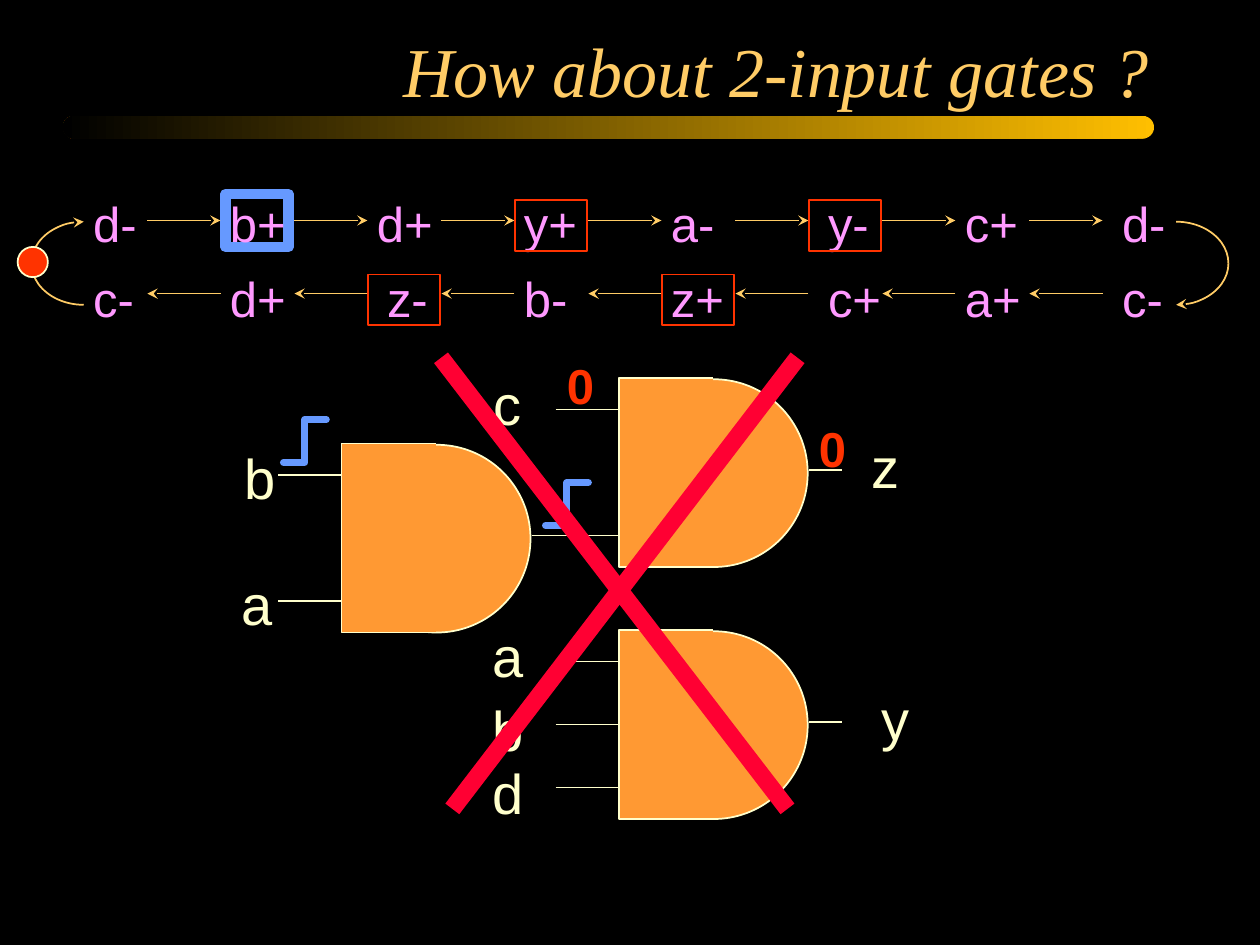
from dataclasses import dataclass

from lxml import etree
from pptx import Presentation
from pptx.dml.color import RGBColor
from pptx.enum.shapes import MSO_CONNECTOR, MSO_SHAPE
from pptx.enum.text import MSO_ANCHOR, MSO_AUTO_SIZE, PP_ALIGN
from pptx.oxml.ns import qn
from pptx.util import Inches, Pt

STRAIGHT = MSO_CONNECTOR.STRAIGHT
RECTANGLE = MSO_SHAPE.RECTANGLE
ROUNDED = MSO_SHAPE.ROUNDED_RECTANGLE
OVAL = MSO_SHAPE.OVAL
ARC = MSO_SHAPE.ARC
TOP = MSO_ANCHOR.TOP
NO_AUTOFIT = MSO_AUTO_SIZE.NONE
FIT_SHAPE = MSO_AUTO_SIZE.SHAPE_TO_FIT_TEXT
RIGHT = PP_ALIGN.RIGHT

BLACK = RGBColor(0x00, 0x00, 0x00)
AMBER = RGBColor(0xFF, 0xBF, 0x00)
GOLD = RGBColor(0xFF, 0xCC, 0x66)
CREAM = RGBColor(0xFF, 0xFF, 0xCC)
ORANGE = RGBColor(0xFF, 0x99, 0x33)
BLUE = RGBColor(0x66, 0x99, 0xFF)
PINK = RGBColor(0xFF, 0x99, 0xFF)
RED = RGBColor(0xFF, 0x33, 0x00)
CROSS_RED = RGBColor(0xFF, 0x00, 0x33)

PITCH = 7 / 6
GATE_SIZE = 1.5


@dataclass(frozen=True)
class Gate:
    left: float
    top: float
    inputs: tuple[float, ...]


@dataclass(frozen=True)
class Label:
    text: str
    left: float
    top: float
    width: float
    size: int = 32
    color: RGBColor = CREAM
    bold: bool = False


@dataclass(frozen=True)
class EventRow:
    events: tuple[str, ...]
    nudged: tuple[int, ...]
    boxed: tuple[int, ...]
    top: float
    arrow_y: float
    forward: bool


@dataclass(frozen=True)
class Turn:
    left: float
    start: int
    end: int
    arrow: bool


UPPER_GATE = Gate(4.91, 3, (0.25, 1.25))
LOWER_GATE = Gate(4.91, 5, (0.25, 0.75, 1.25))
LEFT_GATE = Gate(2.71, 3.52, (0.25, 1.25))

LABELS = (
    Label("a", 1.82, 4.47, 0.45),
    Label("b", 1.84, 3.47, 0.45),
    Label("c", 3.82, 2.88, 0.42),
    Label("z", 6.82, 3.38, 0.42),
    Label("a", 3.81, 4.88, 0.45),
    Label("b", 3.81, 5.47, 0.45),
    Label("d", 3.81, 5.97, 0.45),
    Label("y", 6.9, 5.38, 0.42),
)
ZEROS = (
    Label("0", 4.4, 2.77, 0.42, 28, RED, True),
    Label("0", 6.4, 3.27, 0.42, 28, RED, True),
)
ROWS = (
    EventRow(("d-", "b+", "d+", "y+", "a-", "y-", "c+", "d-"),
             (0, 5, 7), (3, 5), 1.49, 1.75, True),
    EventRow(("c-", "d+", "z-", "b-", "z+", "c+", "a+", "c-"),
             (0, 2, 5, 7), (2, 4), 2.08, 2.33, False),
)
TURNS = (
    Turn(0.25, 180, 270, True),
    Turn(0.25, 90, 180, False),
    Turn(8.92, 270, 0, False),
    Turn(8.92, 0, 90, True),
)


def add_arrowhead(item) -> None:
    outline = item.element.spPr.find(qn("a:ln"))
    etree.SubElement(outline, qn("a:tailEnd"), type="stealth")


def style(shape, fill: RGBColor | None, line: RGBColor, weight: float = 1) -> None:
    shape.shadow.inherit = False
    if fill is None:
        shape.fill.background()
    else:
        shape.fill.solid()
        shape.fill.fore_color.rgb = fill
    shape.line.color.rgb = line
    shape.line.width = Pt(weight)


def add_preset(page, kind, left: float, top: float, width: float, height: float):
    return page.shapes.add_shape(
        kind, Inches(left), Inches(top), Inches(width), Inches(height))


def add_line(page, start: tuple[float, float], end: tuple[float, float],
             color: RGBColor = CREAM, weight: float = 1):
    line = page.shapes.add_connector(
        STRAIGHT, *(Inches(value) for value in start + end))
    line.line.color.rgb = color
    line.line.width = Pt(weight)
    etree.SubElement(line.element.spPr, qn("a:effectLst"))
    return line


def add_outline(page, points: list[tuple[float, float]]):
    start, *rest = [(Inches(x), Inches(y)) for x, y in points]
    builder = page.shapes.build_freeform(*start)
    builder.add_line_segments(rest, close=False)
    return builder.convert_to_shape()


def add_label(page, label: Label) -> None:
    box = page.shapes.add_textbox(
        Inches(label.left), Inches(label.top), Inches(label.width),
        Inches(0.63 if label.size == 32 else 0.57))
    frame = box.text_frame
    frame.word_wrap = False
    frame.auto_size = FIT_SHAPE
    frame.text = label.text
    font = frame.paragraphs[0].runs[0].font
    font.name = "Arial"
    font.size = Pt(label.size)
    font.bold = label.bold
    font.color.rgb = label.color


def add_gate(page, gate: Gate) -> None:
    left, top = gate.left, gate.top
    middle, bottom = left + GATE_SIZE / 2, top + GATE_SIZE
    dome = add_preset(page, OVAL, left + 0.01, top + 0.01, 1.49, 1.49)
    body = add_outline(
        page, [(middle, top), (left, top), (left, bottom), (middle, bottom)])
    for part in (dome, body):
        style(part, ORANGE, CREAM)
    add_line(page, (left + 1.51, top + 0.73), (left + 1.77, top + 0.73))
    for offset in gate.inputs:
        add_line(page, (left - 0.5, top + offset), (left, top + offset))


def add_rising_edge(page, left: float, top: float) -> None:
    middle, right, bottom = left + 0.17, left + 0.34, top + 0.34
    edge = add_outline(
        page, [(left, bottom), (middle, bottom), (middle, top), (right, top)])
    style(edge, None, BLUE, 4)
    edge.element.spPr.find(qn("a:ln")).set("cap", "rnd")


def add_event_row(page, row: EventRow) -> None:
    for column, event in enumerate(row.events):
        left = 0.56 + column * PITCH + (0.08 if column in row.nudged else 0)
        width = (0.65 if event[0] in "abd" else 0.62) - (0.1 if event[1] == "-" else 0)
        add_label(page, Label(event, left, row.top, width, 28, PINK))
    for gap in range(len(row.events) - 1):
        left = 1.17 + gap * PITCH
        ends = [(left, row.arrow_y), (left + 0.58, row.arrow_y)]
        start, end = ends if row.forward else reversed(ends)
        add_arrowhead(add_line(page, start, end, GOLD))
    for column in row.boxed:
        frame = add_preset(
            page, RECTANGLE, 0.59 + column * PITCH, row.top + 0.1, 0.57, 0.4)
        style(frame, None, RED)


def add_turn(page, turn: Turn) -> None:
    arc = add_preset(page, ARC, turn.left, 1.76, 0.83, 0.66)
    arc.adjustments[0] = turn.start * 0.6
    arc.adjustments[1] = turn.end * 0.6
    style(arc, None, GOLD)
    if turn.arrow:
        add_arrowhead(arc)


def add_bar(page) -> None:
    bar = add_preset(page, ROUNDED, 0.5, 0.92, 8.66, 0.18)
    bar.adjustments[0] = 0.5
    bar.shadow.inherit = False
    bar.line.fill.background()
    bar.fill.gradient()
    bar.fill.gradient_angle = 180
    for stop, color in zip(bar.fill.gradient_stops, (AMBER, BLACK)):
        stop.color.rgb = color


def set_title(page) -> None:
    title = page.shapes.title
    title.left, title.top = Inches(3.1), Inches(0.17)
    title.width, title.height = Inches(6.12), Inches(0.77)
    frame = title.text_frame
    frame.text = "How about 2-input gates ?"
    frame.word_wrap = False
    frame.auto_size = NO_AUTOFIT
    frame.vertical_anchor = TOP
    paragraph = frame.paragraphs[0]
    paragraph.alignment = RIGHT
    font = paragraph.runs[0].font
    font.name = "Times New Roman"
    font.size = Pt(40)
    font.italic = True
    font.color.rgb = GOLD


def main() -> None:
    deck = Presentation()
    deck.slide_width, deck.slide_height = Inches(10), Inches(7.5)
    page = deck.slides.add_slide(deck.slide_layouts[5])
    page.background.fill.solid()
    page.background.fill.fore_color.rgb = BLACK
    set_title(page)
    add_bar(page)
    for gate in (UPPER_GATE, LOWER_GATE, LEFT_GATE):
        add_gate(page, gate)
    style(add_preset(page, RECTANGLE, 1.79, 1.54, 0.5, 0.42), None, BLUE, 6)
    add_rising_edge(page, 2.25, 3.33)
    add_rising_edge(page, 4.33, 3.83)
    for label in LABELS + ZEROS:
        add_label(page, label)
    add_line(page, (3.5, 2.84), (6.25, 6.42), CROSS_RED, 10)
    add_line(page, (6.33, 2.84), (3.59, 6.42), CROSS_RED, 10)
    for row in ROWS:
        add_event_row(page, row)
    for turn in TURNS:
        add_turn(page, turn)
    style(add_preset(page, OVAL, 0.14, 1.96, 0.24, 0.24), RED, CREAM)
    deck.save("out.pptx")


if __name__ == "__main__":
    main()
